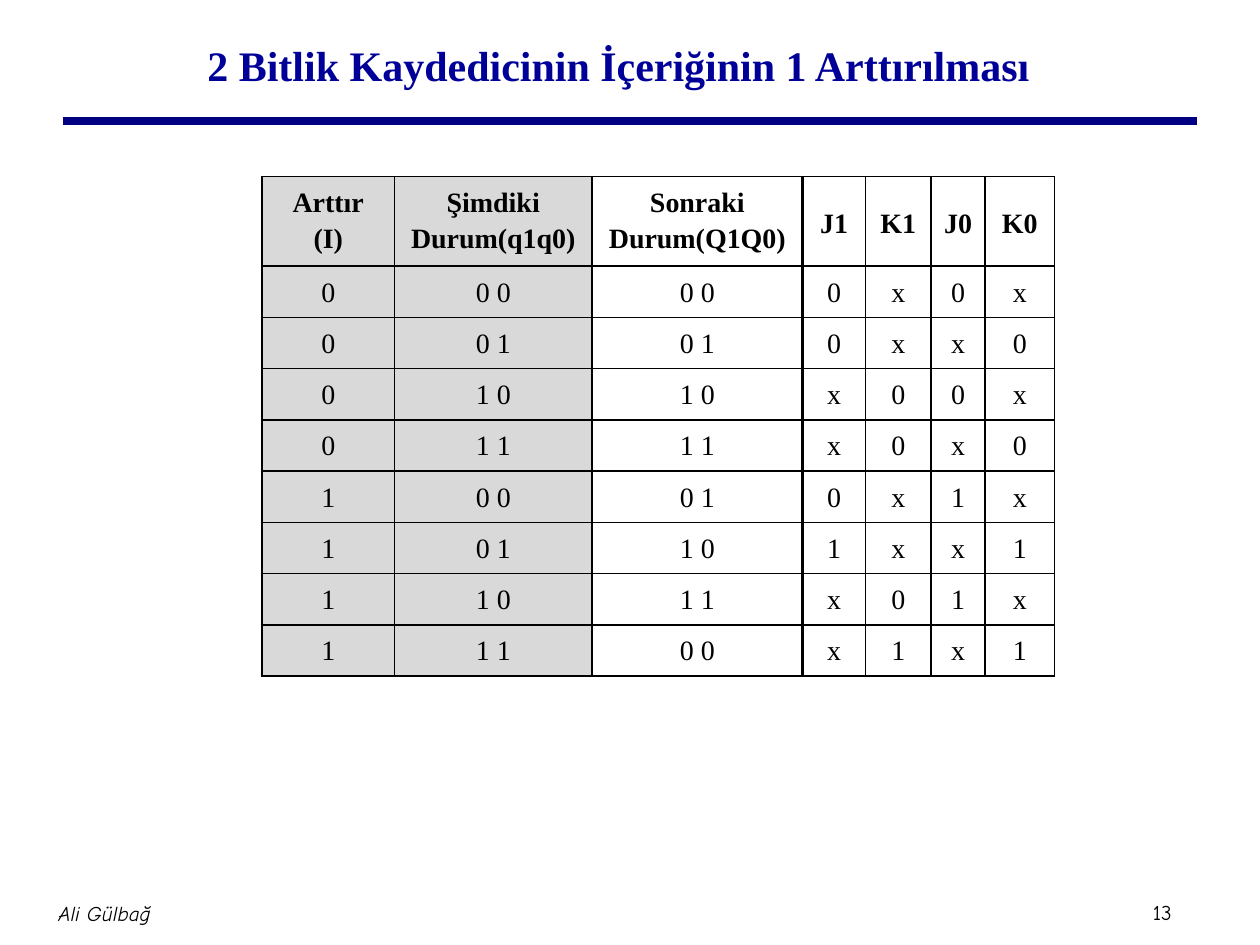
import pptx
import pptx.dml.color
import pptx.enum.shapes
import pptx.enum.text
import pptx.oxml
import pptx.oxml.ns
import pptx.util

Inches = pptx.util.Inches
Pt = pptx.util.Pt
Align = pptx.enum.text.PP_ALIGN
Anchor = pptx.enum.text.MSO_ANCHOR

COLORS = {"title": "000099", "rule": "000080", "text": "000000",
          "grid": "000000", "inputs": "D9D9D9"}
SERIF = "Times New Roman"
FOOTER_FONT = "Comic Neue"

HEADINGS = ["Arttır\n(I)", "Şimdiki\nDurum(q1q0)", "Sonraki\nDurum(Q1Q0)",
            "J1", "K1", "J0", "K0"]
STATES = [
    ["0", "0 0", "0 0", "0", "x", "0", "x"],
    ["0", "0 1", "0 1", "0", "x", "x", "0"],
    ["0", "1 0", "1 0", "x", "0", "0", "x"],
    ["0", "1 1", "1 1", "x", "0", "x", "0"],
    ["1", "0 0", "0 1", "0", "x", "1", "x"],
    ["1", "0 1", "1 0", "1", "x", "x", "1"],
    ["1", "1 0", "1 1", "x", "0", "1", "x"],
    ["1", "1 1", "0 0", "x", "1", "x", "1"],
]
COLUMN_WIDTHS = [1.05, 1.57, 1.67, 0.5, 0.52, 0.43, 0.55]
HEADER_HEIGHT, STATE_HEIGHT = 0.67, 0.38
INPUT_COLUMNS = 2
THICK_COLUMN_EDGES = {2, 3, 5}
THICK_ROW_EDGES = {1}


def rgb(name):
    """Return the named colour."""
    return pptx.dml.color.RGBColor.from_string(COLORS[name])


def write(frame, text, size=16, font=SERIF, color="text", bold=False,
          italic=False, align=Align.CENTER, spacing=None):
    """Fill a text frame, one paragraph for each line of text."""
    for index, line in enumerate(text.split("\n")):
        paragraph = frame.add_paragraph() if index else frame.paragraphs[0]
        paragraph.alignment = align
        if spacing:
            paragraph.line_spacing = spacing
        run = paragraph.add_run()
        run.text = line
        run.font.size = Pt(size)
        run.font.name = font
        run.font.bold = bold
        run.font.italic = italic
        run.font.color.rgb = rgb(color)


def add_label(slide, box, text, inset=0.05, **style):
    """Place a vertically centred text box."""
    frame = slide.shapes.add_textbox(*map(Inches, box)).text_frame
    frame.word_wrap = True
    frame.vertical_anchor = Anchor.MIDDLE
    frame.margin_left = frame.margin_right = Inches(inset)
    frame.margin_top = frame.margin_bottom = Inches(0.05)
    write(frame, text, **style)


def add_heading(slide, left, top, width, height):
    """Place the title and the rule beneath it."""
    add_label(slide, (left + 0.16, top, width - 0.5, height - 0.02),
              "2 Bitlik Kaydedicinin İçeriğinin 1 Arttırılması",
              inset=0.1, size=24, color="title", bold=True)
    y = Inches(top + height)
    rule = slide.shapes.add_connector(
        pptx.enum.shapes.MSO_CONNECTOR.STRAIGHT,
        Inches(left), y, Inches(left + width), y)
    rule.line.color.rgb = rgb("rule")
    rule.line.width = Pt(4.5)
    properties = rule._element.spPr
    properties.append(properties.makeelement(pptx.oxml.ns.qn("a:effectLst"), {}))


def add_borders(cell, row, column):
    """Draw the four edges of a cell, thicker between the groups."""
    edges = {"L": column in THICK_COLUMN_EDGES,
             "R": column + 1 in THICK_COLUMN_EDGES,
             "T": row in THICK_ROW_EDGES,
             "B": row + 1 in THICK_ROW_EDGES}
    properties = cell._tc.get_or_add_tcPr()
    for side, thick in edges.items():
        width = Pt(1.5 if thick else 1)
        properties.append(pptx.oxml.parse_xml(
            f'<a:ln{side} {pptx.oxml.ns.nsdecls("a")} w="{width}"><a:solidFill>'
            f'<a:srgbClr val="{COLORS["grid"]}"/></a:solidFill></a:ln{side}>'))


def add_state_table(slide, left, top):
    """Place the state transition table at the given corner."""
    rows = [HEADINGS] + STATES
    heights = [HEADER_HEIGHT] + [STATE_HEIGHT] * len(STATES)
    table = slide.shapes.add_table(
        len(rows), len(HEADINGS), Inches(left), Inches(top),
        Inches(sum(COLUMN_WIDTHS)), Inches(sum(heights))).table
    table.first_row = table.horz_banding = False
    for column, width in enumerate(COLUMN_WIDTHS):
        table.columns[column].width = Inches(width)
    for row, values in enumerate(rows):
        table.rows[row].height = Inches(heights[row])
        for column, value in enumerate(values):
            cell = table.cell(row, column)
            write(cell.text_frame, value, bold=row == 0, spacing=1.15)
            if row == 0 and column > INPUT_COLUMNS:
                cell.vertical_anchor = Anchor.MIDDLE
            add_borders(cell, row, column)
            if column < INPUT_COLUMNS:
                cell.fill.solid()
                cell.fill.fore_color.rgb = rgb("inputs")
            else:
                cell.fill.background()


def add_footer(slide, left, top, width, height):
    """Place the author at the left and the page number at the right."""
    add_label(slide, (left, top, 1.46, height), "Ali Gülbağ",
              size=12, font=FOOTER_FONT, italic=True)
    add_label(slide, (left + width - 0.47, top + 0.09, 0.47, 0.3), "13",
              size=12, font=FOOTER_FONT, align=Align.LEFT)


def main():
    """Build and save the slide."""
    presentation = pptx.Presentation()
    presentation.slide_width = Inches(10)
    presentation.slide_height = Inches(7.5)
    slide = presentation.slides.add_slide(presentation.slide_layouts[6])
    add_heading(slide, 0.5, 0.08, 9, 0.88)
    add_state_table(slide, 2.08, 1.4)
    add_footer(slide, 0.1, 7, 9.47, 0.5)
    presentation.save("out.pptx")


main()
